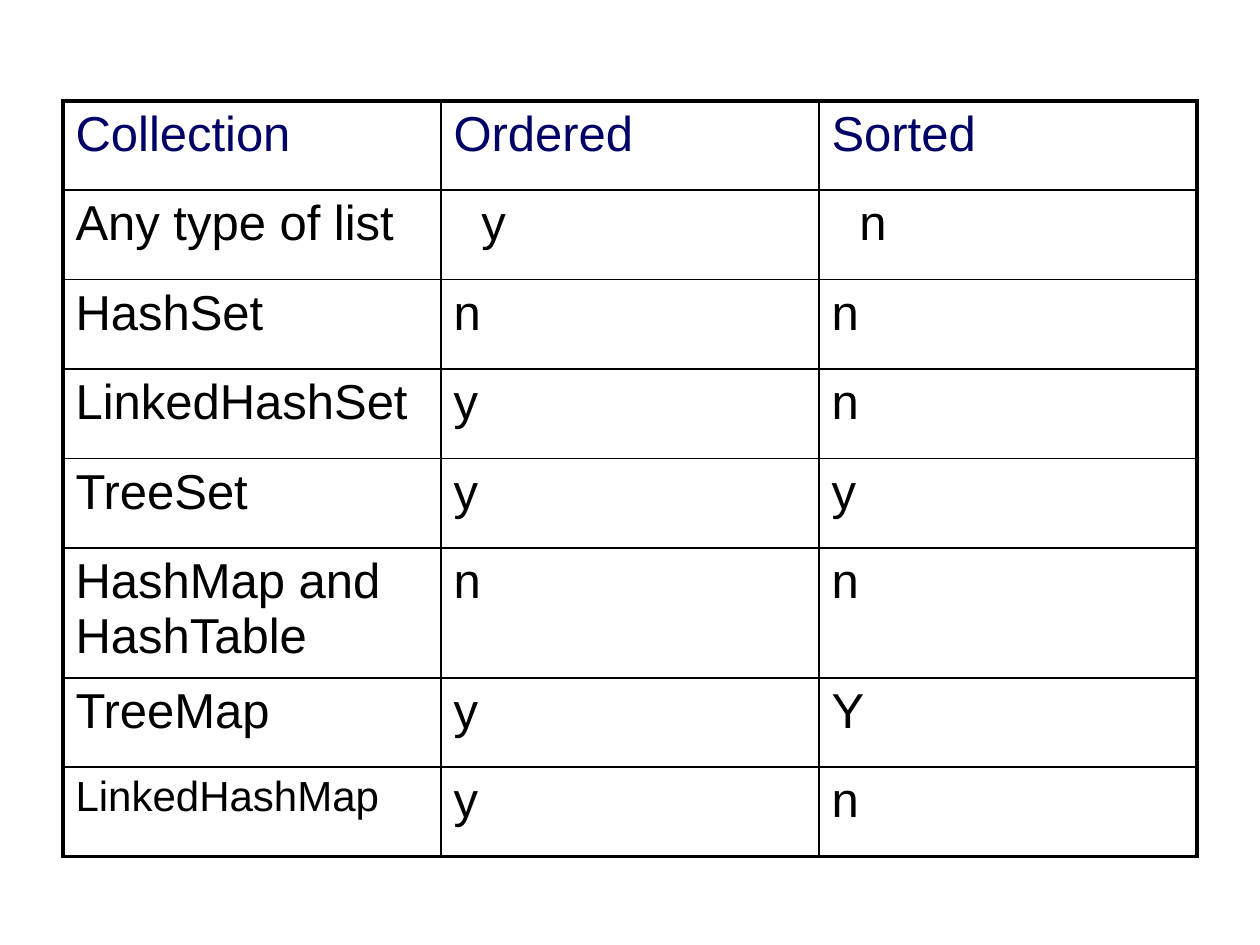
from lxml.etree import SubElement
from pptx import Presentation
from pptx.dml.color import RGBColor
from pptx.oxml.ns import qn
from pptx.util import Inches, Pt

COLORS = {"header": "000066", "text": "000000", "border": "000000"}
ROWS = [
    ("Collection", "Ordered", "Sorted"),
    ("Any type of list", "y", "n"),
    ("HashSet", "n", "n"),
    ("LinkedHashSet", "y", "n"),
    ("TreeSet", "y", "y"),
    ("HashMap and HashTable", "n", "n"),
    ("TreeMap", "y", "Y"),
    ("LinkedHashMap", "y", "n"),
]
ROW_HEIGHT, TALL_HEIGHT = 0.71, 1.03
HEIGHTS = [TALL_HEIGHT if " and " in row[0] else ROW_HEIGHT for row in ROWS]
SIZES = {"LinkedHashMap": 24}
INDENTED = {(1, 1), (1, 2)}


class Deck:
    """Holds the style and the current slide, and draws the table on it."""

    font, size, indent = "Arial", 28, 0.22
    inner, outer = 1, 2.25

    def __init__(self, prs):
        self.s = prs.slides.add_slide(prs.slide_layouts[6])

    def table(self, left, top, width, rows, heights):
        n_rows, n_cols = len(rows), len(rows[0])
        table = self.s.shapes.add_table(
            n_rows, n_cols, Inches(left), Inches(top), Inches(width), Inches(sum(heights))
        ).table
        table.first_row = table.horz_banding = False
        for row, height in zip(table.rows, heights):
            row.height = Inches(height)
        for i, texts in enumerate(rows):
            for j, text in enumerate(texts):
                cell = table.cell(i, j)
                self.text(cell, text, "header" if i == 0 else "text", (i, j) in INDENTED)
                edges = {"L": j == 0, "R": j == n_cols - 1, "T": i == 0, "B": i == n_rows - 1}
                self.borders(cell, edges)
                cell.fill.background()

    def text(self, cell, text, color, indented):
        p = cell.text_frame.paragraphs[0]
        p.text = text
        p.font.name = self.font
        p.font.size = Pt(SIZES.get(text, self.size))
        p.font.color.rgb = RGBColor.from_string(COLORS[color])
        if indented:
            pPr = p._p.get_or_add_pPr()
            pPr.set("marL", str(Inches(self.indent)))
            pPr.set("indent", "0")

    def borders(self, cell, edges):
        tcPr = cell._tc.get_or_add_tcPr()
        for side, is_outer in edges.items():
            width = Pt(self.outer if is_outer else self.inner)
            ln = SubElement(tcPr, qn(f"a:ln{side}"), w=str(width))
            fill = SubElement(ln, qn("a:solidFill"))
            SubElement(fill, qn("a:srgbClr"), val=COLORS["border"])


prs = Presentation()
prs.slide_width, prs.slide_height = Inches(10), Inches(7.5)
deck = Deck(prs)
deck.table(0.5, 0.8, 9, ROWS, HEIGHTS)
prs.save("out.pptx")
